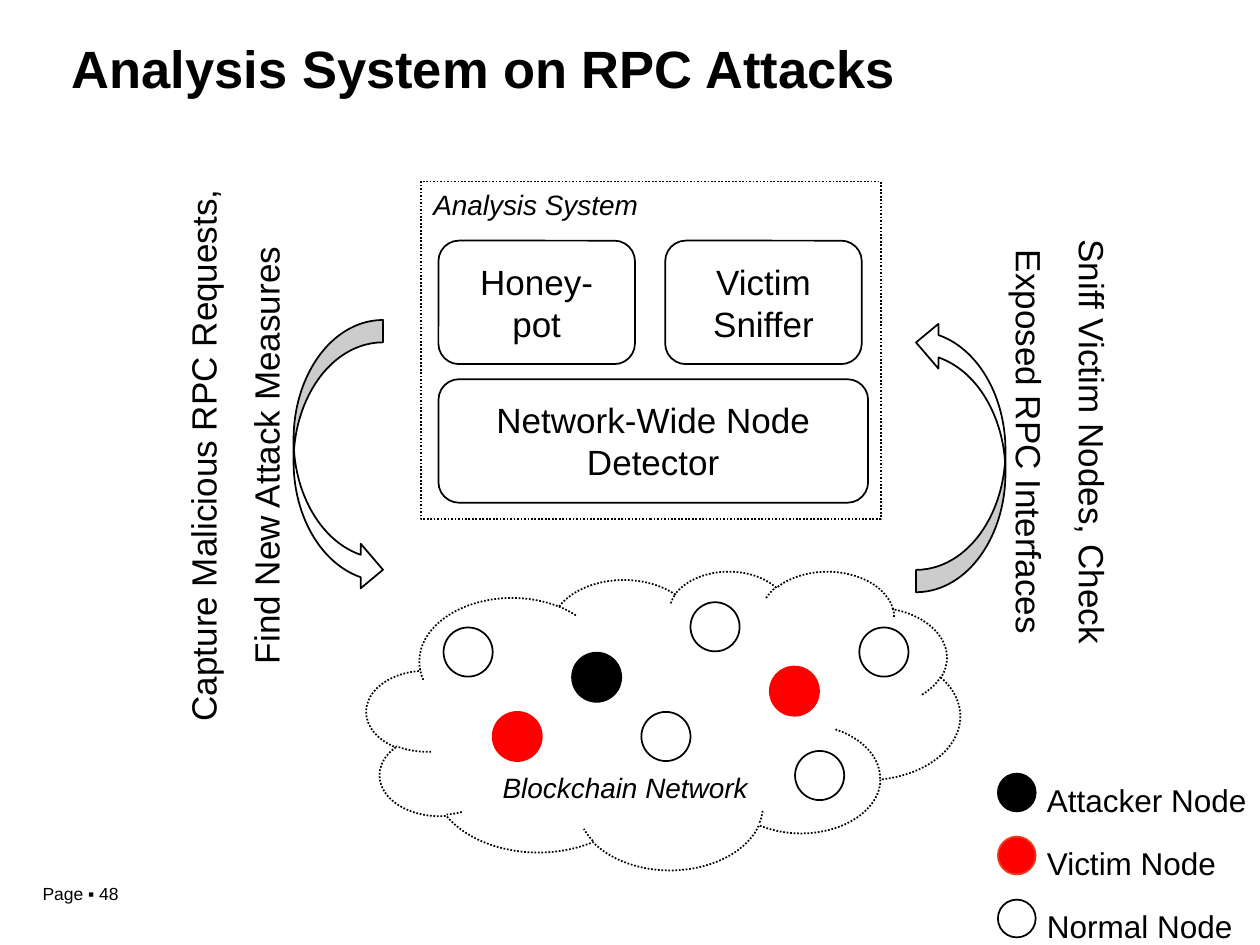
from lxml import etree
from pptx import Presentation
from pptx.dml.color import RGBColor
from pptx.enum.dml import MSO_LINE
from pptx.enum.shapes import MSO_SHAPE
from pptx.enum.text import MSO_ANCHOR, PP_ALIGN
from pptx.util import Inches, Pt

OVAL, RECTANGLE, ROUNDED = MSO_SHAPE.OVAL, MSO_SHAPE.RECTANGLE, MSO_SHAPE.ROUNDED_RECTANGLE
CLOUD, CURVED_ARROW = MSO_SHAPE.CLOUD, MSO_SHAPE.CURVED_RIGHT_ARROW
DOTTED = MSO_LINE.ROUND_DOT
TOP, MIDDLE, BOTTOM = MSO_ANCHOR.TOP, MSO_ANCHOR.MIDDLE, MSO_ANCHOR.BOTTOM
LEFT, CENTER = PP_ALIGN.LEFT, PP_ALIGN.CENTER

COLORS = {"black": "000000", "white": "FFFFFF", "red": "FF0000", "rust": "F03A17"}

# Content
TITLE = "Analysis System on RPC Attacks"
PAGE = "Page ▪ 48"
SYSTEM = "Analysis System"
NETWORK = "Blockchain Network"
# Node kind: fill, line in the network, line in the legend
NODE_KINDS = {
    "Attacker Node": ("black", "black", "black"),
    "Victim Node": ("red", "red", "rust"),
    "Normal Node": ("white", "black", "black"),
}
NETWORK_NODES = [
    ("Normal Node", 3.52, 4.98), ("Attacker Node", 4.54, 5.18),
    ("Victim Node", 3.91, 5.65), ("Normal Node", 5.48, 4.78),
    ("Normal Node", 5.09, 5.65), ("Victim Node", 6.11, 5.29),
    ("Normal Node", 6.82, 4.98), ("Normal Node", 6.31, 5.96),
]
# Component: grid column, row, width
COMPONENTS = [
    ("Network-Wide Node Detector", 0, 1, 3.41),
    ("Victim Sniffer", 1, 0, 1.56),
    ("Honey-pot", 0, 0, 1.56),
]
# Flow: text, text box, text rotation, arrow left, arrow rotation
FLOWS = [
    ("Sniff Victim Nodes, Check Exposed RPC Interfaces",
     (6.6, 2.98, 3.86, 1.05), 90, 7.27, 180),
    ("Capture Malicious RPC Requests, Find New Attack Measures",
     (-0.46, 3.06, 4.48, 1.11), 270, 2.33, 0),
]

# Layout
GRID_LEFT, GRID_TOP, COLUMN_STEP, ROW_STEP, COMPONENT_HEIGHT = 3.48, 1.91, 1.8, 1.1, 0.98
NODE_SIZE, MARKER_SIZE = 0.39, 0.3
LEGEND_LEFT, LEGEND_TOP, LEGEND_STEP = 7.92, 6, 0.5

presentation = Presentation()
presentation.slide_width, presentation.slide_height = Inches(10), Inches(7.5)
slide = presentation.slides.add_slide(presentation.slide_layouts[5])


def color(name):
    return RGBColor.from_string(COLORS[name])


def write(shape, text, size, align=LEFT, anchor=TOP, spacing=None, indent=0, **font):
    frame = shape.text_frame
    frame.word_wrap, frame.vertical_anchor = True, anchor
    paragraph = frame.paragraphs[0]
    paragraph.text = text
    paragraph.alignment, paragraph.line_spacing = align, spacing
    if indent:
        properties = paragraph._p.get_or_add_pPr()
        properties.set("marL", str(Inches(indent)))
        properties.set("indent", "0")
    for name, value in {"name": "Arial", "size": Pt(size), **font}.items():
        setattr(paragraph.font, name, value)
    paragraph.font.color.rgb = color("black")


def add_shape(kind, box, fill="white", line="black", dash=None):
    shape = slide.shapes.add_shape(kind, *map(Inches, box))
    shape.shadow.inherit = False
    shape.fill.solid()
    shape.fill.fore_color.rgb = color(fill)
    shape.line.color.rgb = color(line)
    shape.line.width = Pt(1)
    if dash:
        shape.line.dash_style = dash
    return shape


def add_text(box, text, size, **options):
    shape = slide.shapes.add_textbox(*map(Inches, box))
    write(shape, text, size, **options)
    return shape


# Title and page number
title = slide.shapes.title
for side, value in zip(("left", "top", "width", "height"), (0.47, 0.19, 9, 0.76)):
    setattr(title, side, Inches(value))
write(title, TITLE, 30, anchor=MIDDLE, spacing=0.9, bold=True)
add_text((0.24, 6.96, 1.47, 0.27), PAGE, 10)

# Analysis system and its components
system = add_shape(RECTANGLE, (3.34, 1.44, 3.65, 2.68), dash=DOTTED)
write(system, SYSTEM, 16, italic=True)
for text, column, row, width in COMPONENTS:
    left, top = GRID_LEFT + column * COLUMN_STEP, GRID_TOP + row * ROW_STEP
    component = add_shape(ROUNDED, (left, top, width, COMPONENT_HEIGHT))
    component.text_frame.margin_left = component.text_frame.margin_right = Inches(0.12)
    write(component, text, 20, align=CENTER, anchor=MIDDLE)

# Blockchain network and its nodes
cloud = add_shape(CLOUD, (2.91, 4.53, 4.71, 2.37), dash=DOTTED)
cloud.text_frame.margin_left = Inches(0.43)
write(cloud, NETWORK, 16, anchor=BOTTOM, italic=True)
for kind, left, top in NETWORK_NODES:
    fill, line, _ = NODE_KINDS[kind]
    add_shape(OVAL, (left, top, NODE_SIZE, NODE_SIZE), fill, line)

# Flows between system and network
for text, box, text_rotation, arrow_left, arrow_rotation in FLOWS:
    arrow = add_shape(CURVED_ARROW, (arrow_left, 2.54, 0.71, 2.16))
    arrow.rotation = arrow_rotation
    label = add_text(box, text, 20, align=CENTER, spacing=1.5)
    label.rotation = text_rotation

# Legend
for row, (kind, (fill, _, line)) in enumerate(NODE_KINDS.items()):
    top = LEGEND_TOP + row * LEGEND_STEP
    add_shape(OVAL, (LEGEND_LEFT, top + 0.14, MARKER_SIZE, MARKER_SIZE), fill, line)
    add_text((LEGEND_LEFT + 0.19, top, 1.89, LEGEND_STEP), kind, 18, spacing=1.5, indent=0.1)

presentation.save("out.pptx")
